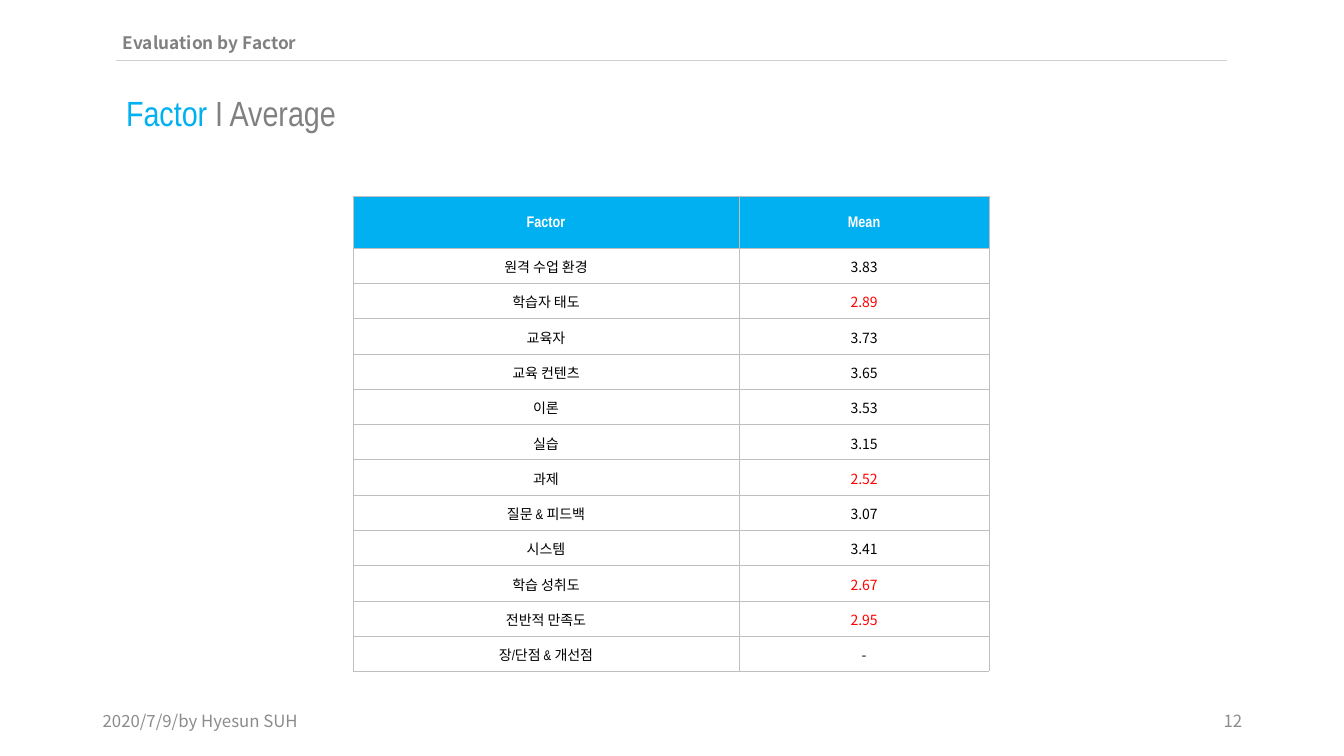
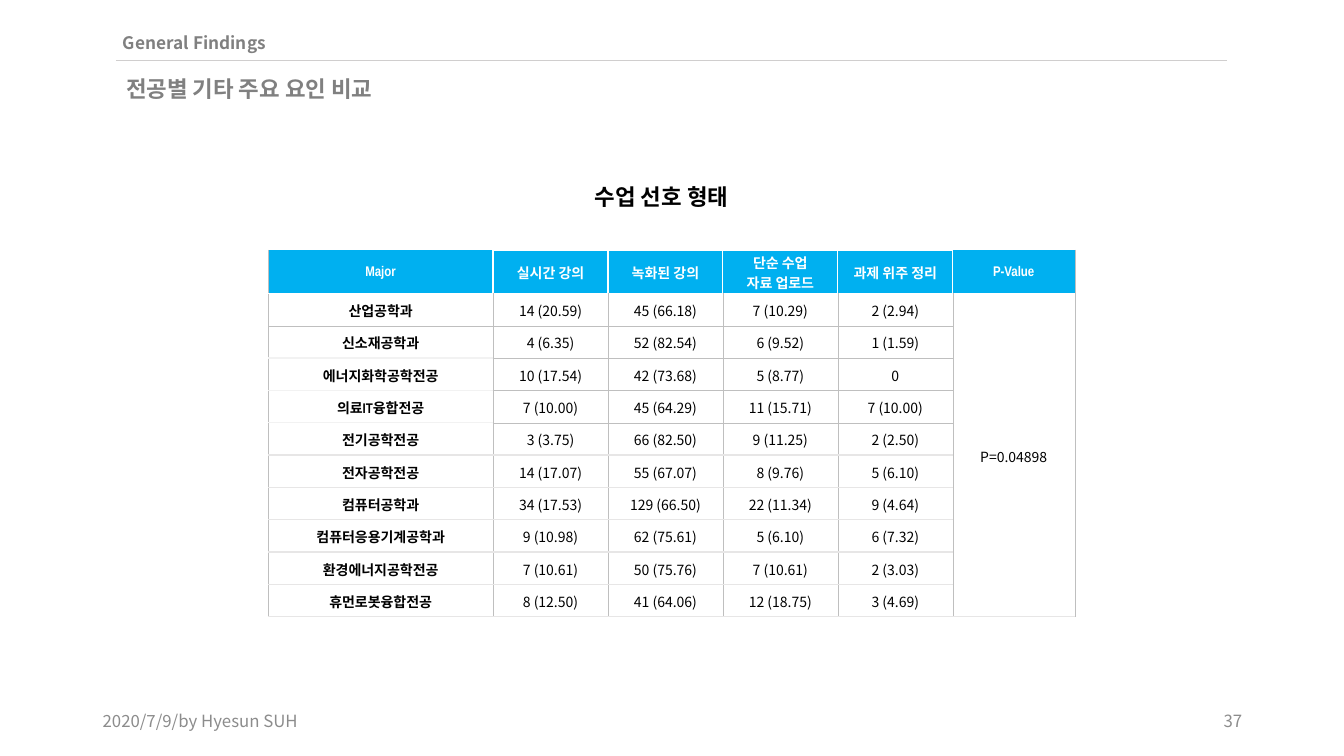
import pptx
import pptx.dml.color
import pptx.enum.shapes
import pptx.enum.text
import pptx.oxml.ns
import pptx.util
from lxml import etree

EMU_PER_PX = 9144  # 100 px to the inch

BLUE, GREY, FOOTER_GREY = "00B0F0", "808080", "8C8C8C"
WHITE, BLACK, RED = "FFFFFF", "000000", "FF0000"
NARROW, KOREAN = "Arial Narrow", "Noto Sans CJK KR"

# Table borders: colour and width in points
FINE = ("BFBFBF", 0.25)
PALE = ("E7E6E6", 1)
FAINT = ("F2F2F2", 1)
WHITE_LINE = ("FFFFFF", 1)

ALIGN = pptx.enum.text.PP_ALIGN
ANCHOR = pptx.enum.text.MSO_ANCHOR

FACTORS = [
    ("Factor", "Mean"),
    ("원격 수업 환경", "3.83"),
    ("학습자 태도", "2.89"),
    ("교육자", "3.73"),
    ("교육 컨텐츠", "3.65"),
    ("이론", "3.53"),
    ("실습", "3.15"),
    ("과제", "2.52"),
    ("질문 & 피드백", "3.07"),
    ("시스템", "3.41"),
    ("학습 성취도", "2.67"),
    ("전반적 만족도", "2.95"),
    ("장/단점 & 개선점", "-"),
]

MAJORS = [
    ("Major", "실시간 강의", "녹화된 강의", "단순 수업\n자료 업로드", "과제 위주 정리", "P-Value"),
    ("산업공학과", "14 (20.59)", "45 (66.18)", "7 (10.29)", "2 (2.94)", "P=0.04898"),
    ("신소재공학과", "4 (6.35)", "52 (82.54)", "6 (9.52)", "1 (1.59)"),
    ("에너지화학공학전공", "10 (17.54)", "42 (73.68)", "5 (8.77)", "0"),
    ("의료IT융합전공", "7 (10.00)", "45 (64.29)", "11 (15.71)", "7 (10.00)"),
    ("전기공학전공", "3 (3.75)", "66 (82.50)", "9 (11.25)", "2 (2.50)"),
    ("전자공학전공", "14 (17.07)", "55 (67.07)", "8 (9.76)", "5 (6.10)"),
    ("컴퓨터공학과", "34 (17.53)", "129 (66.50)", "22 (11.34)", "9 (4.64)"),
    ("컴퓨터응용기계공학과", "9 (10.98)", "62 (75.61)", "5 (6.10)", "6 (7.32)"),
    ("환경에너지공학전공", "7 (10.61)", "50 (75.76)", "7 (10.61)", "2 (3.03)"),
    ("휴먼로봇융합전공", "8 (12.50)", "41 (64.06)", "12 (18.75)", "3 (4.69)"),
]


def px(length):
    return pptx.util.Emu(round(length * EMU_PER_PX))


def colour(value):
    return pptx.dml.color.RGBColor.from_string(value)


# Text
def add_span(para, text, size, font, ink, bold=False):
    span = para.add_run()
    span.text = text
    span.font.size = pptx.util.Pt(size)
    span.font.bold = bold
    span.font.color.rgb = colour(ink)
    span.font.name = font
    east_asian = etree.SubElement(span._r.get_or_add_rPr(), pptx.oxml.ns.qn("a:ea"))
    east_asian.set("typeface", KOREAN)


def fill_box(box, place, spans, align=ALIGN.LEFT, anchor=ANCHOR.TOP, insets=(10, 5)):
    box.left, box.top, box.width, box.height = map(px, place)
    frame = box.text_frame
    frame.word_wrap = True
    frame.auto_size = pptx.enum.text.MSO_AUTO_SIZE.NONE
    frame.vertical_anchor = anchor
    frame.margin_left = frame.margin_right = px(insets[0])
    frame.margin_top = frame.margin_bottom = px(insets[1])
    para = frame.paragraphs[0]
    para.alignment = align
    for span in spans:
        add_span(para, *span)


def add_text(page, place, *spans, **layout):
    fill_box(page.shapes.add_textbox(0, 0, 0, 0), place, spans, **layout)


# Page with section name, rule, title and footer
def add_page(deck, section, number, title_place, *title):
    page = deck.slides.add_slide(deck.slide_layouts[5])
    fill_box(page.shapes.title, title_place, title)
    add_text(page, (115, 29, 670, 28), (section, 12.3, KOREAN, GREY, True), insets=(7, 3))

    rule = page.shapes.add_connector(
        pptx.enum.shapes.MSO_CONNECTOR.STRAIGHT, px(115), px(60), px(1217), px(60))
    rule.line.color.rgb = colour("D0CECE")
    rule.line.width = pptx.util.Pt(0.5)
    etree.SubElement(rule._element.spPr, pptx.oxml.ns.qn("a:effectLst"))

    footers = ((92, "2020/7/9/by Hyesun SUH", ALIGN.LEFT), (942, number, ALIGN.RIGHT))
    for left, text, align in footers:
        add_text(page, (left, 695, 300, 40), (text, 12, KOREAN, FOOTER_GREY),
                 align=align, anchor=ANCHOR.MIDDLE)
    return page


# Tables
def set_borders(cell, borders):
    properties = cell._tc.get_or_add_tcPr()
    for side in "LRTB":
        line = etree.SubElement(properties, pptx.oxml.ns.qn("a:ln" + side))
        if side not in borders:
            etree.SubElement(line, pptx.oxml.ns.qn("a:noFill"))
            continue
        ink, width = borders[side]
        line.set("w", str(pptx.util.Pt(width)))
        solid = etree.SubElement(line, pptx.oxml.ns.qn("a:solidFill"))
        etree.SubElement(solid, pptx.oxml.ns.qn("a:srgbClr")).set("val", ink)


def fill_cell(cell, text, style, fill):
    if fill:
        cell.fill.solid()
        cell.fill.fore_color.rgb = colour(fill)
    else:
        cell.fill.background()
    cell.vertical_anchor = ANCHOR.MIDDLE
    cell.margin_left = cell.margin_right = px(5)
    cell.margin_top, cell.margin_bottom = px(2), px(0)
    for index, line in enumerate(text.split("\n") if text else []):
        frame = cell.text_frame
        para = frame.add_paragraph() if index else frame.paragraphs[0]
        para.alignment = ALIGN.CENTER
        add_span(para, line, *style)


def add_grid(page, place, widths, header_height, rows, style_of, borders_of):
    table = page.shapes.add_table(len(rows), len(widths), *map(px, place)).table
    table.first_row = table.horz_banding = False
    for column, width in zip(table.columns, widths):
        column.width = px(width)
    row_height = (place[3] - header_height) / (len(rows) - 1)
    for row_index, texts in enumerate(rows):
        table.rows[row_index].height = px(row_height if row_index else header_height)
        for column_index in range(len(widths)):
            cell = table.cell(row_index, column_index)
            text = texts[column_index] if column_index < len(texts) else ""
            set_borders(cell, borders_of(row_index, column_index))
            fill_cell(cell, text, style_of(row_index, column_index, text),
                      None if row_index else BLUE)
    return table


def factor_style(row, column, text):
    if row == 0:
        return 11, NARROW, WHITE, True
    if column == 0:
        return 10, NARROW, BLACK
    # Means below 3 stand out
    return 10, KOREAN, RED if text.startswith("2") else BLACK


def factor_borders(row, column):
    return dict.fromkeys("LRTB", FINE)


def major_style(row, column, text):
    if row == 0:
        return 10, NARROW if text.isascii() else KOREAN, WHITE, True
    return 10, KOREAN if column else NARROW, BLACK, column == 0


def major_borders(row, column):
    last_row, last_column = len(MAJORS) - 1, len(MAJORS[0]) - 1
    if row == 0:
        borders = dict.fromkeys("LRTB", WHITE_LINE)
        if column == 0:
            borders["L"] = FINE
        if column == last_column:
            borders["R"] = FINE
        if column in (0, last_column):
            del borders["T"]
        return borders

    borders = {"L": FINE, "R": FINE}
    if column == last_column:  # one merged cell
        if row == 1:
            borders["T"] = WHITE_LINE
        if row in (1, last_row):
            borders["B"] = PALE
        return borders

    def line_below(above):
        if above == 0:
            return WHITE_LINE
        if above >= 5:
            return PALE
        return FAINT if column == 0 and above > 1 else FINE

    borders["T"], borders["B"] = line_below(row - 1), line_below(row)
    return borders


# Pages
def add_factor_page(deck):
    page = add_page(deck, "Evaluation by Factor", "12", (115, 86, 755, 52),
                    ("Factor ", 25, NARROW, BLUE), ("I Average", 25, NARROW, GREY))
    add_grid(page, (350, 195, 631, 471), (383, 248), 51, FACTORS,
             factor_style, factor_borders)


def add_major_page(deck):
    page = add_page(deck, "General Findings", "37", (115, 70, 755, 37),
                    ("전공별 기타 주요 요인 비교", 16, NARROW, GREY, True))
    table = add_grid(page, (266, 248, 800, 364), (223, 114, 114, 114, 114, 121), 43,
                     MAJORS, major_style, major_borders)
    table.cell(1, 5).merge(table.cell(10, 5))
    add_text(page, (580, 177, 171, 37), ("수업 선호 형태", 16, KOREAN, BLACK, True))


def main():
    deck = pptx.Presentation()
    deck.slide_width, deck.slide_height = px(1333), px(750)
    add_factor_page(deck)
    add_major_page(deck)
    deck.save("out.pptx")


if __name__ == "__main__":
    main()
